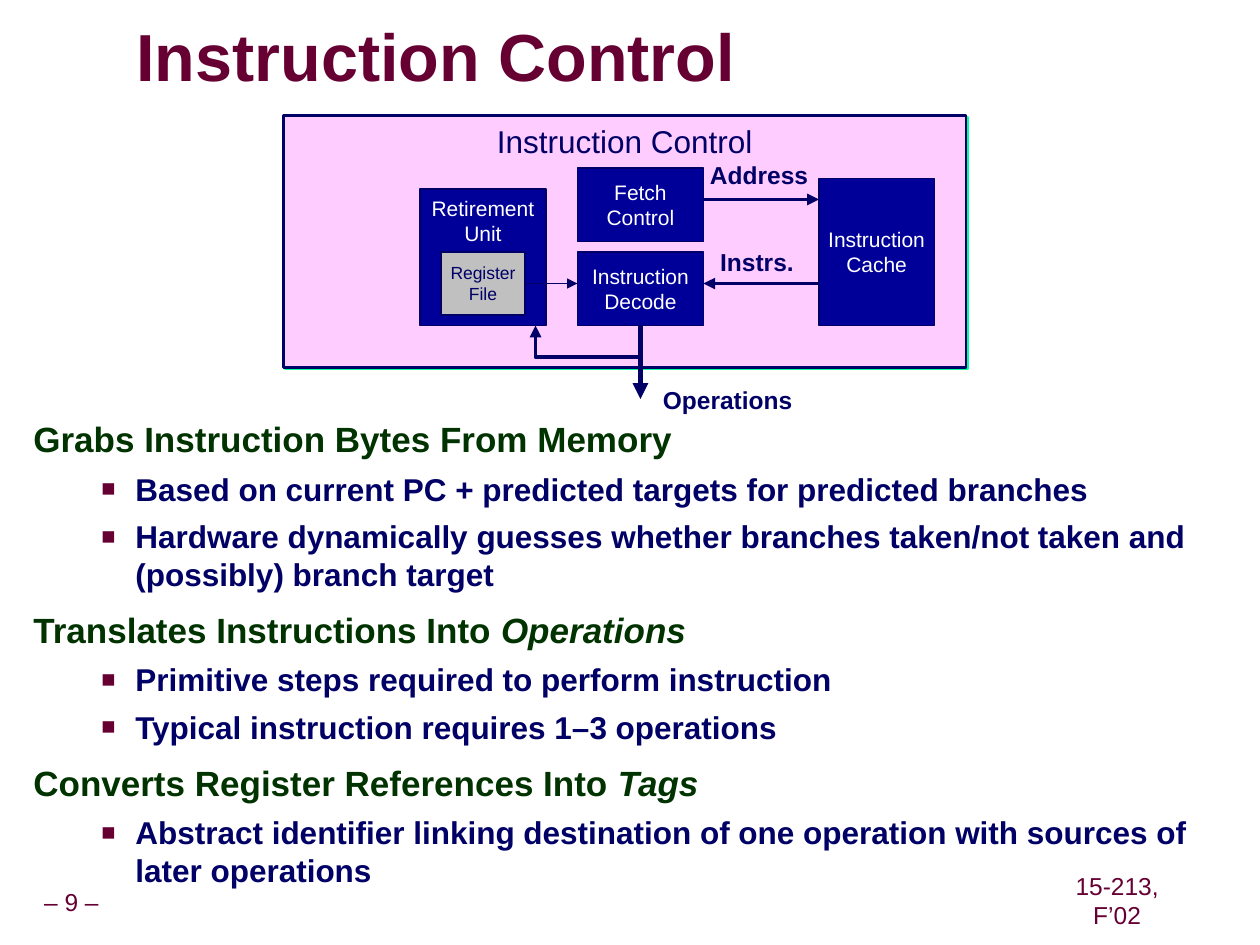
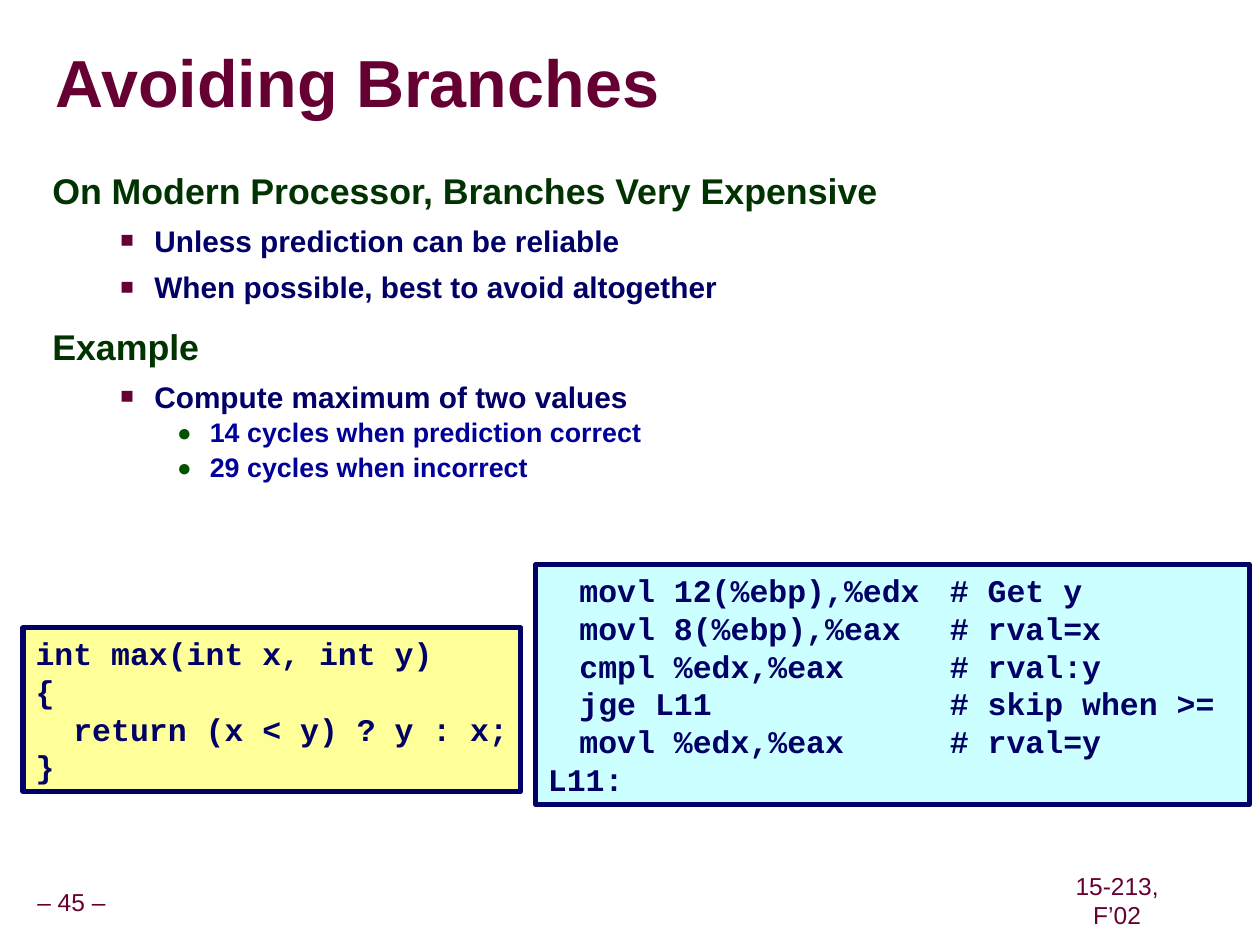
from dataclasses import dataclass

import lxml.etree
import pptx
import pptx.dml.color
import pptx.enum.shapes
import pptx.enum.text
import pptx.oxml.ns
import pptx.util

ALIGN = pptx.enum.text.PP_ALIGN
ANCHOR = pptx.enum.text.MSO_ANCHOR
RECT = pptx.enum.shapes.MSO_SHAPE.RECTANGLE
STRAIGHT = pptx.enum.shapes.MSO_CONNECTOR.STRAIGHT
PADS = (0.1, 0.05, 0.1, 0.05)


@dataclass(frozen=True)
class Level:
    left: float
    hang: float
    color: str
    lead: float
    mark: str = ""
    tint: str = ""
    scale: int = 100


@dataclass(frozen=True)
class Theme:
    sans: str = "Arial"
    mono: str = "Courier New"
    wine: str = "660033"
    navy: str = "000066"
    blue: str = "000099"
    pink: str = "FFCCFF"
    mint: str = "00FF99"
    gray: str = "C0C0C0"
    shade: str = "969696"
    white: str = "FFFFFF"
    yellow: str = "FFFF99"
    cyan: str = "CCFFFF"
    title: float = 38
    head: float = 18
    label: float = 14
    unit: float = 12
    small: float = 10
    levels: tuple = (
        Level(0.42, 0.42, "003300", 0.85),
        Level(0.81, 0.27, "000066", 1, "■", "660033", 75),
        Level(1.25, 0.26, "000099", 0.97, "●", "005400", 90),
    )


def color(code):
    return pptx.dml.color.RGBColor.from_string(code)


def nodes(shape, tag):
    return list(shape.element.iter(pptx.oxml.ns.qn("a:" + tag)))


def node(root, tag, **traits):
    name = pptx.oxml.ns.qn("a:" + tag)
    return lxml.etree.SubElement(root, name, {k: str(v) for k, v in traits.items()})


def shade(effects, code, dist):
    outer = node(effects, "outerShdw", dist=pptx.util.Pt(dist), dir=45 * 60000, algn="tl")
    node(outer, "srgbClr", val=code)


class Deck:
    cols, rows = 120, 90

    def __init__(self, theme):
        self.theme = theme
        self.show = pptx.Presentation()
        self.show.slide_width = pptx.util.Inches(10)
        self.show.slide_height = pptx.util.Inches(7.5)
        self.slide = None

    def place(self, *cells):
        steps = (self.show.slide_width / self.cols, self.show.slide_height / self.rows)
        return [round(cell * steps[i % 2]) for i, cell in enumerate(cells)]

    def page(self, number, title, area):
        look = self.theme
        self.slide = self.show.slides.add_slide(self.show.slide_layouts[6])
        self.label(f"– {number} –", (0, 84, 13.6, 3.7), look.wine, False)
        self.label("15-213, F’02", (99.2, 83.9, 14.4, 3.7), look.wine, False)
        box = self.slide.shapes.add_textbox(*self.place(*area))
        self.fit(box, title, look.title, look.wine, bold=True, align=ALIGN.LEFT,
                 wrap=True, pads=(0, 0, 0, 0))
        box.text_frame.paragraphs[0].line_spacing = 0.87
        props = nodes(box, "rPr")[0]
        effects = node(props, "effectLst")
        props.find(pptx.oxml.ns.qn("a:solidFill")).addnext(effects)
        shade(effects, look.shade, 4)

    def style(self, run, size, code, bold=False, face=None):
        font = run.font
        font.name = face or self.theme.sans
        font.size = pptx.util.Pt(size)
        font.bold = bold
        font.color.rgb = color(code)

    def fit(self, shape, text, size, code, bold=False, face=None, align=ALIGN.CENTER,
            anchor=ANCHOR.MIDDLE, wrap=False, pads=PADS):
        frame = shape.text_frame
        frame.text = text
        frame.word_wrap = wrap
        frame.vertical_anchor = anchor
        (frame.margin_left, frame.margin_top,
         frame.margin_right, frame.margin_bottom) = map(pptx.util.Inches, pads)
        for para in frame.paragraphs:
            para.alignment = align
            for run in para.runs:
                self.style(run, size, code, bold, face)

    def label(self, text, area, code, bold=True):
        box = self.slide.shapes.add_textbox(*self.place(*area))
        self.fit(box, text, self.theme.label, code, bold)

    def panel(self, area, fill, width):
        shape = self.slide.shapes.add_shape(RECT, *self.place(*area))
        shape.shadow.inherit = False
        shape.fill.solid()
        shape.fill.fore_color.rgb = color(fill)
        self.stroke(shape, width)
        return shape

    def stroke(self, shape, width, arrow=False):
        shape.line.color.rgb = color(self.theme.navy)
        shape.line.width = pptx.util.Pt(width)
        if arrow:
            node(nodes(shape, "ln")[0], "tailEnd", type="triangle")

    def block(self, text, area, anchor=ANCHOR.MIDDLE):
        shape = self.panel(area, self.theme.blue, 0.75)
        self.fit(shape, text, self.theme.unit, self.theme.white, anchor=anchor)
        return shape

    def link(self, start, end, width, source=None, side=0):
        line = self.slide.shapes.add_connector(STRAIGHT, *self.place(*start, *end))
        if source is not None:
            line.begin_connect(source, side)
        self.stroke(line, width, arrow=True)
        node(line.element.spPr, "effectLst")

    def bend(self, points, width):
        first, *rest = [self.place(*point) for point in points]
        maker = self.slide.shapes.build_freeform(*first)
        maker.add_line_segments(rest, close=False)
        shape = maker.convert_to_shape()
        shape.shadow.inherit = False
        shape.fill.background()
        self.stroke(shape, width, arrow=True)

    def body(self, items, area, sizes, gaps):
        box = self.slide.shapes.add_textbox(*self.place(*area))
        frame = box.text_frame
        frame.word_wrap = True
        for index, (depth, text, *tail) in enumerate(items):
            para = frame.add_paragraph() if index else frame.paragraphs[0]
            level = self.theme.levels[depth]
            para.text = text
            for part in tail:
                run = para.add_run()
                run.text = part
                run.font.italic = True
            para.level = depth
            para.line_spacing = level.lead
            if index:
                para.space_before = pptx.util.Pt(gaps[depth])
            self.mark(nodes(box, "pPr")[-1], level)
            for run in para.runs:
                self.style(run, sizes[depth], level.color, bold=True)

    def mark(self, props, level):
        props.set("marL", str(pptx.util.Inches(level.left)))
        props.set("indent", str(-pptx.util.Inches(level.hang)))
        if level.mark:
            node(node(props, "buClr"), "srgbClr", val=level.tint)
            node(props, "buSzPct", val=level.scale * 1000)
            node(props, "buFont", typeface=self.theme.sans)
            node(props, "buChar", char=level.mark)

    def code(self, lines, area, fill, stops=()):
        shape = self.panel(area, fill, 3)
        self.fit(shape, "\n".join(lines), self.theme.head, self.theme.navy, True,
                 self.theme.mono, ALIGN.LEFT, ANCHOR.TOP, True, (0.1, 0.05, 0.05, 0.05))
        if stops:
            for props in nodes(shape, "pPr"):
                tabs = node(props, "tabLst")
                for stop in stops:
                    node(tabs, "tab", pos=pptx.util.Inches(stop), algn="l")


def control(deck):
    look = deck.theme
    deck.page(9, "Instruction Control", (13, 2, 74.6, 7.6))
    deck.body([
        (0, "Grabs Instruction Bytes From Memory"),
        (1, "Based on current PC + predicted targets for predicted branches"),
        (1, "Hardware dynamically guesses whether branches taken/not taken and "
            "(possibly) branch target"),
        (0, "Translates Instructions Into ", "Operations"),
        (1, "Primitive steps required to perform instruction"),
        (1, "Typical instruction requires 1–3 operations"),
        (0, "Converts Register References Into ", "Tags"),
        (1, "Abstract identifier linking destination of one operation with sources of "
            "later operations"),
    ], (2, 39.8, 116.2, 44.8), (20, 18), (12.5, 5.6))

    frame = deck.panel((27, 11, 65, 24), look.pink, 1.5)
    deck.fit(frame, "Instruction Control", look.head, look.navy, anchor=ANCHOR.TOP)
    shade(nodes(frame, "effectLst")[0], look.mint, 1.4)

    deck.block("Instruction\nCache", (78, 17, 11, 14))
    deck.block("Fetch\nControl", (55, 16, 12, 7))
    decode = deck.block("Instruction\nDecode", (55, 24, 12, 7))
    deck.link((67, 19), (78, 19), 2.25)
    deck.link((78, 27), (67, 27), 2.25)
    deck.link((61, 31), (61, 38), 3, decode, 2)
    deck.label("Address", (66.4, 14.6, 11.8, 4.1), look.navy)
    deck.label("Instrs.", (67.4, 22.9, 9.4, 4.1), look.navy)
    deck.label("Operations", (61.9, 36, 14.8, 4.1), look.navy)
    deck.block("Retirement\nUnit", (40, 18, 12, 13), ANCHOR.TOP)
    file = deck.panel((42, 24, 8, 6), look.gray, 0.75)
    deck.fit(file, "Register\nFile", look.small, look.navy)
    deck.link((50, 27), (55, 27), 0.75, file, 3)
    deck.bend([(61, 34), (51, 34), (51, 31)], 2.25)


def branches(deck):
    look = deck.theme
    deck.page(45, "Avoiding Branches", (5.3, 3.2, 114.4, 10.2))
    deck.body([
        (0, "On Modern Processor, Branches Very Expensive"),
        (1, "Unless prediction can be reliable"),
        (1, "When possible, best to avoid altogether"),
        (0, "Example"),
        (1, "Compute maximum of two values"),
        (2, "14 cycles when prediction correct"),
        (2, "29 cycles when incorrect"),
    ], (3.8, 16.1, 109.1, 30), (20.4, 17, 15.3), (15, 6.2, 2.2))
    deck.code([
        "int max(int x, int y)",
        "{",
        "  return (x < y) ? y : x;",
        "}",
    ], (2.2, 59.8, 47.4, 15.6), look.yellow)
    deck.code([
        "\tmovl 12(%ebp),%edx\t# Get y",
        "\tmovl 8(%ebp),%eax\t# rval=x",
        "\tcmpl %edx,%eax\t# rval:y",
        "\tjge L11\t# skip when >=",
        "\tmovl %edx,%eax\t# rval=y",
        "L11:",
    ], (51, 53.8, 68, 22.8), look.cyan, (0.25, 3.19))


def main():
    deck = Deck(Theme())
    control(deck)
    branches(deck)
    deck.show.save("out.pptx")


if __name__ == "__main__":
    main()
